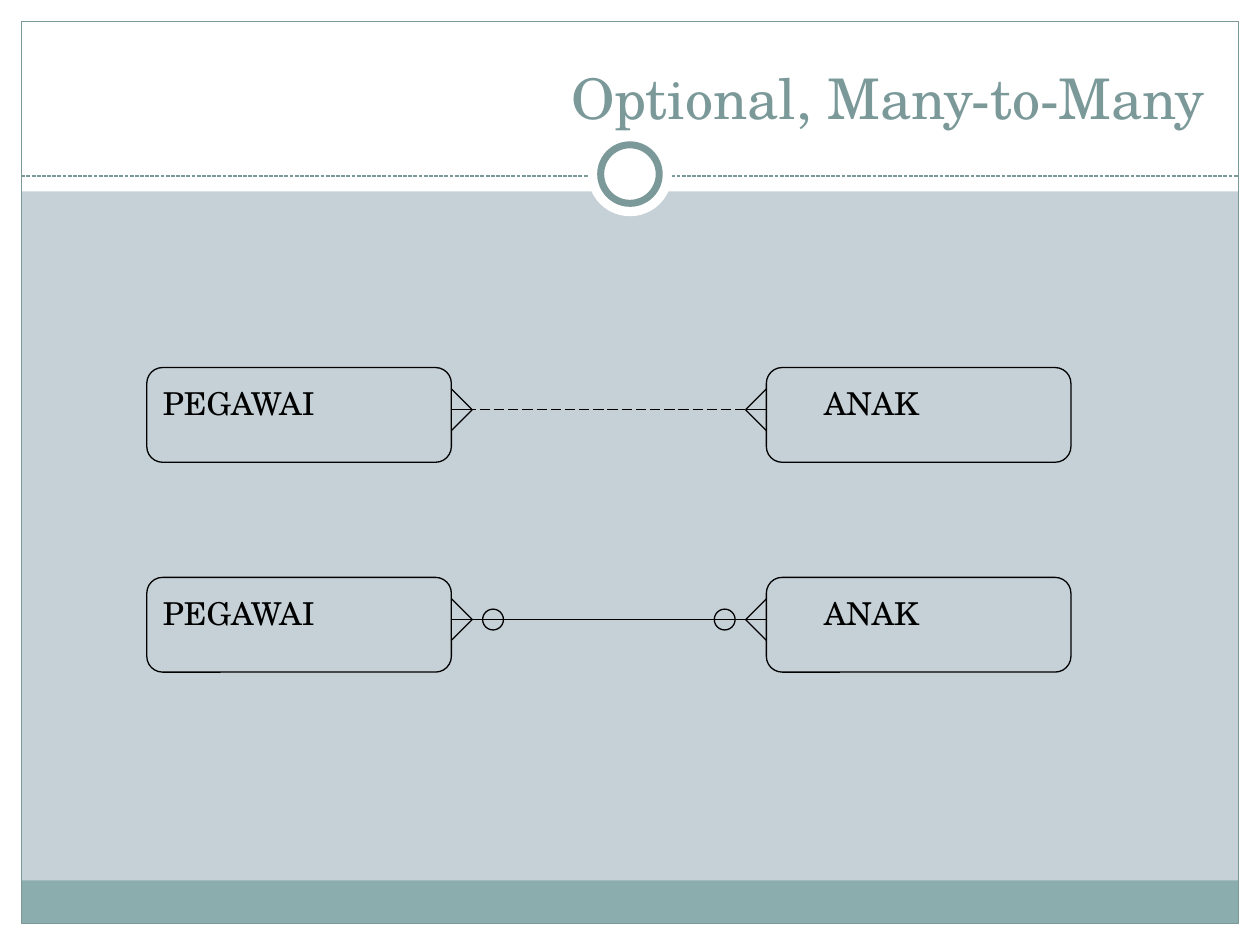
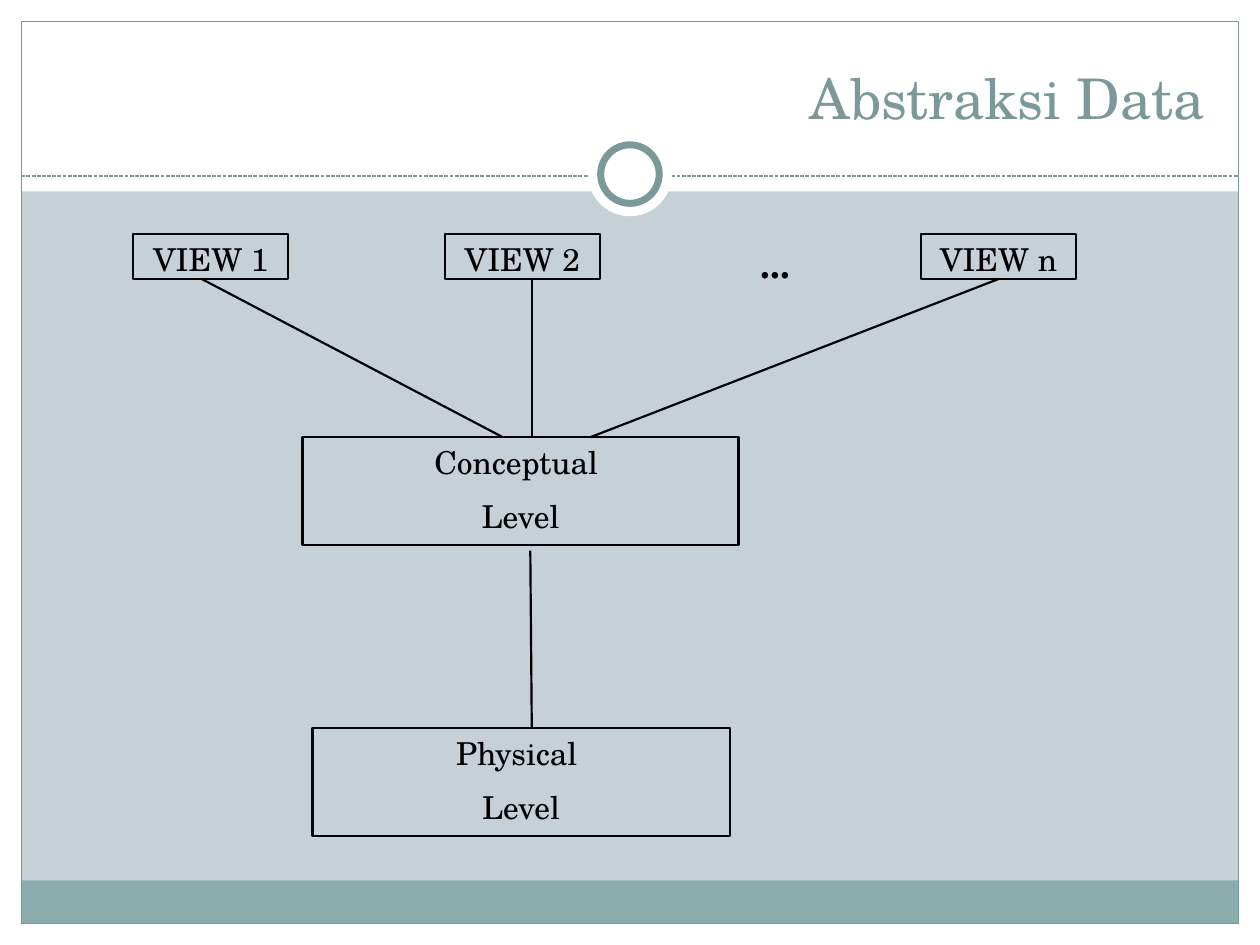
from dataclasses import dataclass
from typing import Optional

from lxml.etree import SubElement
from pptx import Presentation
from pptx.dml.color import RGBColor
from pptx.enum.dml import MSO_LINE_DASH_STYLE as Dash
from pptx.enum.shapes import MSO_CONNECTOR_TYPE as Link, MSO_SHAPE as Preset
from pptx.enum.text import MSO_ANCHOR as Anchor, MSO_AUTO_SIZE as AutoSize, PP_ALIGN as Align
from pptx.oxml.ns import qn
from pptx.util import Cm, Pt

COLOURS = {"ground": "C5D1D7", "paper": "FFFFFF", "footer": "8CADAE",
           "accent": "7C999A", "ink": "000000"}
FONT = "TeX Gyre Schola"
PAGE_W, PAGE_H = 25.4, 19.05
MARGIN = 0.43


@dataclass(frozen=True)
class Box:
    """Place and size in centimetres."""
    left: float
    top: float
    width: float
    height: float

    def lengths(self) -> list:
        return [Cm(v) for v in (self.left, self.top, self.width, self.height)]


@dataclass(frozen=True)
class Stroke:
    colour: str = "ink"
    points: float = 0.75
    dash: Optional[Dash] = None


@dataclass(frozen=True)
class Level:
    box: Box
    lines: tuple


@dataclass(frozen=True)
class Relation:
    top: float
    dashed: bool


@dataclass(frozen=True)
class Entity:
    name: str
    left: float
    label_left: float
    label_width: float


THIN, MEDIUM = Stroke(), Stroke(points=1.25)


# Drawing helpers
def rgb(name: str) -> RGBColor:
    return RGBColor.from_string(COLOURS[name])


def apply_stroke(line, stroke: Stroke) -> None:
    line.color.rgb = rgb(stroke.colour)
    line.width = Pt(stroke.points)
    if stroke.dash is not None:
        line.dash_style = stroke.dash


def draw_shape(shapes, preset, box: Box, fill: Optional[str] = None,
               stroke: Optional[Stroke] = None):
    shape = shapes.add_shape(preset, *box.lengths())
    shape.shadow.inherit = False
    if fill:
        shape.fill.solid()
        shape.fill.fore_color.rgb = rgb(fill)
    else:
        shape.fill.background()
    if stroke:
        apply_stroke(shape.line, stroke)
    else:
        shape.line.fill.background()
    return shape


def draw_line(shapes, start: tuple, end: tuple, stroke: Stroke):
    line = shapes.add_connector(Link.STRAIGHT, *(Cm(v) for v in start + end))
    apply_stroke(line.line, stroke)
    SubElement(line.element.spPr, qn("a:effectLst"))
    return line


def write(frame, lines: tuple, size: float = 18, colour: str = "ink", bold: bool = False,
          align=Align.CENTER, anchor=Anchor.TOP, wrap: bool = True) -> None:
    frame.word_wrap = wrap
    frame.auto_size = AutoSize.NONE
    frame.vertical_anchor = anchor
    for index, text in enumerate(lines):
        paragraph = frame.add_paragraph() if index else frame.paragraphs[0]
        paragraph.alignment = align
        if index:
            paragraph.space_before = Pt(size / 2)
        run = paragraph.add_run()
        run.text = text
        run.font.name, run.font.size, run.font.bold = FONT, Pt(size), bold
        run.font.color.rgb = rgb(colour)


# Shared frame, kept in the layout
def frame_layout(layout, slide) -> None:
    layout.background.fill.solid()
    layout.background.fill.fore_color.rgb = rgb("ground")
    inner_w = PAGE_W - 2 * MARGIN
    shapes = slide.shapes
    parts = [draw_shape(shapes, Preset.RECTANGLE, band, "paper") for band in (
        Box(0, PAGE_H - MARGIN, PAGE_W, MARGIN),
        Box(0, 0, PAGE_W, 3.86),
        Box(0, 0, MARGIN, PAGE_H),
        Box(PAGE_W - MARGIN, 0, MARGIN, PAGE_H))]
    parts += [
        draw_shape(shapes, Preset.RECTANGLE, Box(MARGIN, 17.75, inner_w, 0.87), "footer"),
        draw_shape(shapes, Preset.RECTANGLE, Box(MARGIN, MARGIN, inner_w, PAGE_H - 2 * MARGIN),
                   stroke=Stroke("accent")),
        draw_line(shapes, (MARGIN, 3.55), (PAGE_W - MARGIN, 3.55),
                  Stroke("accent", dash=Dash.SQUARE_DOT)),
        draw_shape(shapes, Preset.OVAL, Box(11.85, 2.66, 1.7, 1.7), "paper"),
        draw_shape(shapes, Preset.OVAL, Box(12.11, 2.92, 1.18, 1.18), "paper",
                   Stroke("accent", 4))]
    first_placeholder = layout.placeholders[0].element
    for part in parts:
        first_placeholder.addprevious(part.element)


def set_title(slide, text: str) -> None:
    title = slide.shapes.title
    title.left, title.top, title.width, title.height = Box(0.85, 0.64, 23.7, 2.12).lengths()
    write(title.text_frame, (text,), 32, "accent", align=Align.RIGHT, anchor=Anchor.BOTTOM)


# Slide 1: entities joined by crow's feet
ENTITY_W, ENTITY_H, FOOT = 6.14, 1.91, 0.42
EMPLOYEE = Entity("PEGAWAI", 2.96, 3.0, 3.63)
CHILD = Entity("ANAK", 15.45, 16.31, 2.51)
RELATIONS = (Relation(7.41, dashed=True), Relation(11.64, dashed=False))


def draw_relation(slide, relation: Relation) -> None:
    shapes = slide.shapes.add_group_shape().shapes
    axis = relation.top + 0.85
    for entity in (EMPLOYEE, CHILD):
        draw_shape(shapes, Preset.ROUNDED_RECTANGLE,
                   Box(entity.left, relation.top, ENTITY_W, ENTITY_H), stroke=THIN)
        label = shapes.add_textbox(
            *Box(entity.label_left, relation.top + 0.21, entity.label_width, 1.02).lengths())
        write(label.text_frame, (entity.name,), wrap=False)

    ends = ((EMPLOYEE.left + ENTITY_W, 1), (CHILD.left, -1))
    draw_line(shapes, (ends[0][0], axis), (ends[1][0], axis),
              Stroke(dash=Dash.LONG_DASH) if relation.dashed else THIN)
    for edge, inward in ends:
        tip = (edge + inward * FOOT, axis)
        toes = (-FOOT, 0, FOOT) if relation.dashed else (-FOOT, FOOT)
        for toe in toes:
            draw_line(shapes, (edge, axis + toe), tip, THIN)
        if not relation.dashed:
            centre = edge + inward * 2 * FOOT
            draw_shape(shapes, Preset.OVAL,
                       Box(centre - FOOT / 2, axis - FOOT / 2, FOOT, FOOT), stroke=THIN)


def build_many_to_many(slide) -> None:
    set_title(slide, "Optional, Many-to-Many")
    for relation in RELATIONS:
        draw_relation(slide, relation)


# Slide 2: levels of data abstraction
VIEW_TOP, VIEW_W, VIEW_H = 4.72, 3.12, 0.9
VIEWS = tuple(Level(Box(left, VIEW_TOP, VIEW_W, VIEW_H), (name,)) for name, left in
              (("VIEW 1", 2.69), ("VIEW 2", 8.97), ("VIEW n", 18.57)))
LEVELS = (Level(Box(6.1, 8.81, 8.79, 2.18), ("Conceptual ", "Level")),
          Level(Box(6.3, 14.68, 8.41, 2.18), ("Physical ", "Level")))
LINKS = (((10.72, 14.66), (10.69, 11.1)),
         ((10.13, 8.81), (4.06, 5.62)),
         ((10.72, 8.81), (10.72, 5.62)),
         ((11.91, 8.81), (20.14, 5.62)))


def build_abstraction(slide) -> None:
    set_title(slide, "Abstraksi Data")
    for level in VIEWS + LEVELS:
        shape = draw_shape(slide.shapes, Preset.RECTANGLE, level.box, stroke=MEDIUM)
        write(shape.text_frame, level.lines)
    more_views = slide.shapes.add_textbox(*Box(14.07, 4.78, VIEW_W, VIEW_H).lengths())
    write(more_views.text_frame, ("...",), 20, bold=True)
    for start, end in LINKS:
        draw_line(slide.shapes, start, end, MEDIUM)


def main() -> None:
    deck = Presentation()
    deck.slide_width, deck.slide_height = Cm(PAGE_W), Cm(PAGE_H)
    title_only = deck.slide_layouts[5]
    many_to_many, abstraction = (deck.slides.add_slide(title_only) for _ in range(2))
    frame_layout(title_only, many_to_many)
    build_many_to_many(many_to_many)
    build_abstraction(abstraction)
    deck.save("out.pptx")


if __name__ == "__main__":
    main()
